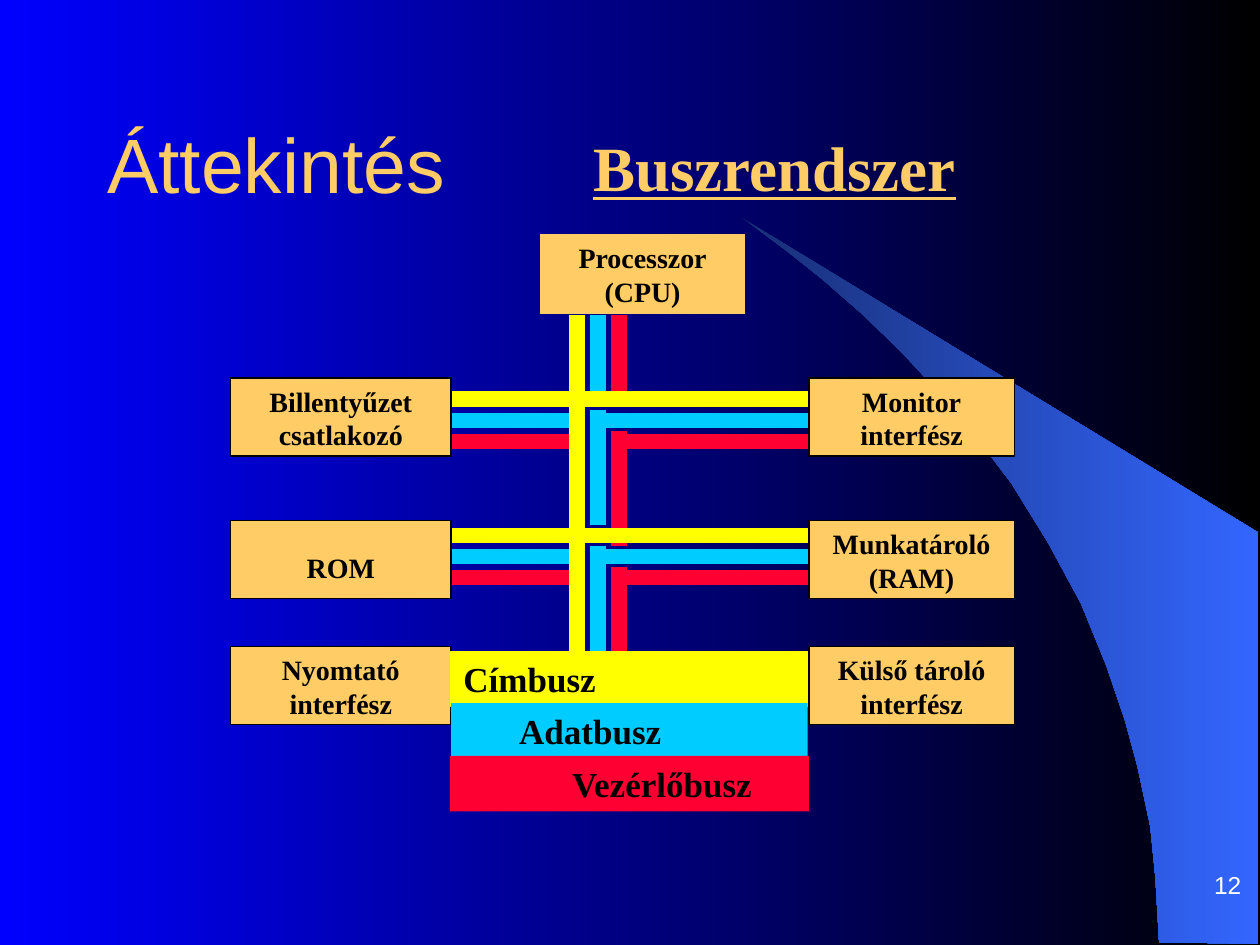
"""Build the bus system overview slide."""
from lxml.etree import SubElement
from pptx import Presentation
from pptx.dml.color import RGBColor
from pptx.enum.shapes import MSO_CONNECTOR as Conn, MSO_SHAPE as Kind
from pptx.enum.text import MSO_ANCHOR as Anchor, PP_ALIGN as Align
from pptx.oxml.ns import qn
from pptx.util import Inches, Pt

BLACK = RGBColor(0x00, 0x00, 0x00)
WHITE = RGBColor(0xFF, 0xFF, 0xFF)
BLUE = RGBColor(0x00, 0x00, 0xFF)
NAVY = RGBColor(0x18, 0x2F, 0x76)
AZURE = RGBColor(0x33, 0x66, 0xFF)
GOLD = RGBColor(0xFF, 0xCC, 0x66)
YELLOW = RGBColor(0xFF, 0xFF, 0x00)
CYAN = RGBColor(0x00, 0xCC, 0xFF)
RED = RGBColor(0xFF, 0x00, 0x33)

SWOOSH = [(9.2, 7.48), (9.99, 7.49), (9.99, 4.23), (5.89, 1.73), (6.24, 1.99),
          (6.53, 2.22), (6.85, 2.5), (7.16, 2.8), (7.62, 3.3), (8.03, 3.84),
          (8.32, 4.31), (8.58, 4.79), (8.78, 5.28), (8.93, 5.72),
          (9.03, 6.09), (9.13, 6.56), (9.17, 6.96)]
LEFT, RIGHT, TOP, BASE = 3.58, 6.42, 2.5, 5.17
LANE, GAP = 4.58, 1 / 6
ROWS = (3.17, 4.25)


class Deck:
    """Hold the style and the current slide."""

    serif, sans = "Times New Roman", "Arial"

    def __init__(self):
        self.prs = Presentation()
        self.prs.slide_width, self.prs.slide_height = Inches(10), Inches(7.5)
        self.slide = self.prs.slides.add_slide(self.prs.slide_layouts[5])
        self.shapes = self.slide.shapes

    def blend(self, fill, start, end):
        fill.gradient()
        fill.gradient_angle = 0
        for stop, color, place in zip(fill.gradient_stops, (start, end), (0, 1)):
            stop.color.rgb, stop.position = color, place

    def letter(self, shape, text, size, color, face, bold=False,
               align=Align.LEFT, anchor=Anchor.TOP, under=False):
        frame = shape.text_frame
        frame.word_wrap, frame.vertical_anchor = True, anchor
        frame.text = text
        for para in frame.paragraphs:
            para.alignment = align
            font = para.font
            font.name, font.size, font.bold = face, Pt(size), bold
            font.underline = under
            font.color.rgb = color
        return frame

    def title(self, text, x, y, w, h):
        head = self.shapes.title
        head.left, head.top, head.width, head.height = map(Inches, (x, y, w, h))
        self.letter(head, text, 44, GOLD, self.sans, anchor=Anchor.MIDDLE)

    def label(self, text, x, y, w, h, *style, **more):
        area = self.shapes.add_textbox(*map(Inches, (x, y, w, h)))
        return self.letter(area, text, *style, **more)

    def box(self, text, x, y, w, h, fill, edge=None, size=16, align=Align.CENTER):
        rect = self.shapes.add_shape(Kind.RECTANGLE, *map(Inches, (x, y, w, h)))
        rect.shadow.inherit = False
        rect.fill.solid()
        rect.fill.fore_color.rgb = fill
        if edge is None:
            rect.line.fill.background()
        else:
            rect.line.color.rgb, rect.line.width = edge, Pt(0.75)
        return self.letter(rect, text, size, BLACK, self.serif, True, align)

    def wire(self, color, x1, y1, x2, y2):
        line = self.shapes.add_connector(
            Conn.STRAIGHT, *map(Inches, (x1, y1, x2, y2)))
        line.line.color.rgb, line.line.width = color, Pt(9)
        SubElement(line._element.spPr, qn("a:effectLst"))

    def swoosh(self, points):
        first, *rest = [(Inches(x), Inches(y)) for x, y in points]
        pen = self.shapes.build_freeform(*first)
        pen.add_line_segments(rest, close=True)
        shape = pen.convert_to_shape()
        shape.shadow.inherit = False
        shape.line.fill.background()
        self.blend(shape.fill, NAVY, AZURE)


def main():
    deck = Deck()
    deck.blend(deck.slide.background.fill, BLUE, BLACK)
    deck.swoosh(SWOOSH)
    deck.title("Áttekintés", 0.75, 0.67, 8.84, 1.25)
    deck.label("Buszrendszer", 4.61, 0.97, 3.09, 0.7, 36, GOLD, deck.serif,
               bold=True, under=True)
    page = deck.label("12", 7.87, 6.72, 2.08, 0.42, 14, WHITE, deck.sans,
                      align=Align.RIGHT, anchor=Anchor.BOTTOM)
    page.margin_top = page.margin_bottom = 0

    buses = [
        (RED, 2, 6.58, [(TOP, 3.17), (3.42, 4.33), (4.5, BASE)]),
        (CYAN, 1, RIGHT, [(TOP, 3.17), (3.25, 4.17), (4.33, 5.25)]),
        (YELLOW, 0, RIGHT, [(TOP, BASE)]),
    ]
    for color, lane, end, spans in buses:
        x = LANE + lane * GAP
        for start, stop in spans:
            deck.wire(color, x, start, x, stop)
        for row in ROWS:
            y = row + lane * GAP
            if lane:
                deck.wire(color, LEFT, y, LANE, y)
                deck.wire(color, x, y, end, y)
            else:
                deck.wire(color, LEFT, y, end, y)

    deck.box("Processzor\n(CPU)", 4.29, 1.86, 1.62, 0.63, GOLD, GOLD)
    units = [
        (3, "Billentyűzet\ncsatlakozó", "Monitor\ninterfész"),
        (4.13, "ROM", "Munkatároló\n(RAM)"),
        (5.13, "Nyomtató\ninterfész", "Külső tároló interfész"),
    ]
    for y, near, far in units:
        frame = deck.box(near, 1.83, y, 1.75, 0.62, GOLD, BLACK)
        if near == "ROM":
            frame.margin_top = Inches(0.24)
        deck.box(far, RIGHT, y, 1.63, 0.62, GOLD, BLACK)

    bands = [
        ("Címbusz", 3.58, 5.17, 2.83, YELLOW, YELLOW, 0.1),
        ("Adatbusz", 3.58, 5.58, 2.83, CYAN, None, 0.54),
        ("Vezérlőbusz", 3.57, 6, 2.85, RED, None, 0.97),
    ]
    for text, x, y, w, fill, edge, inset in bands:
        frame = deck.box(text, x, y, w, 0.44, fill, edge, 20, Align.LEFT)
        frame.margin_left = Inches(inset)
    deck.prs.save("out.pptx")


if __name__ == "__main__":
    main()
